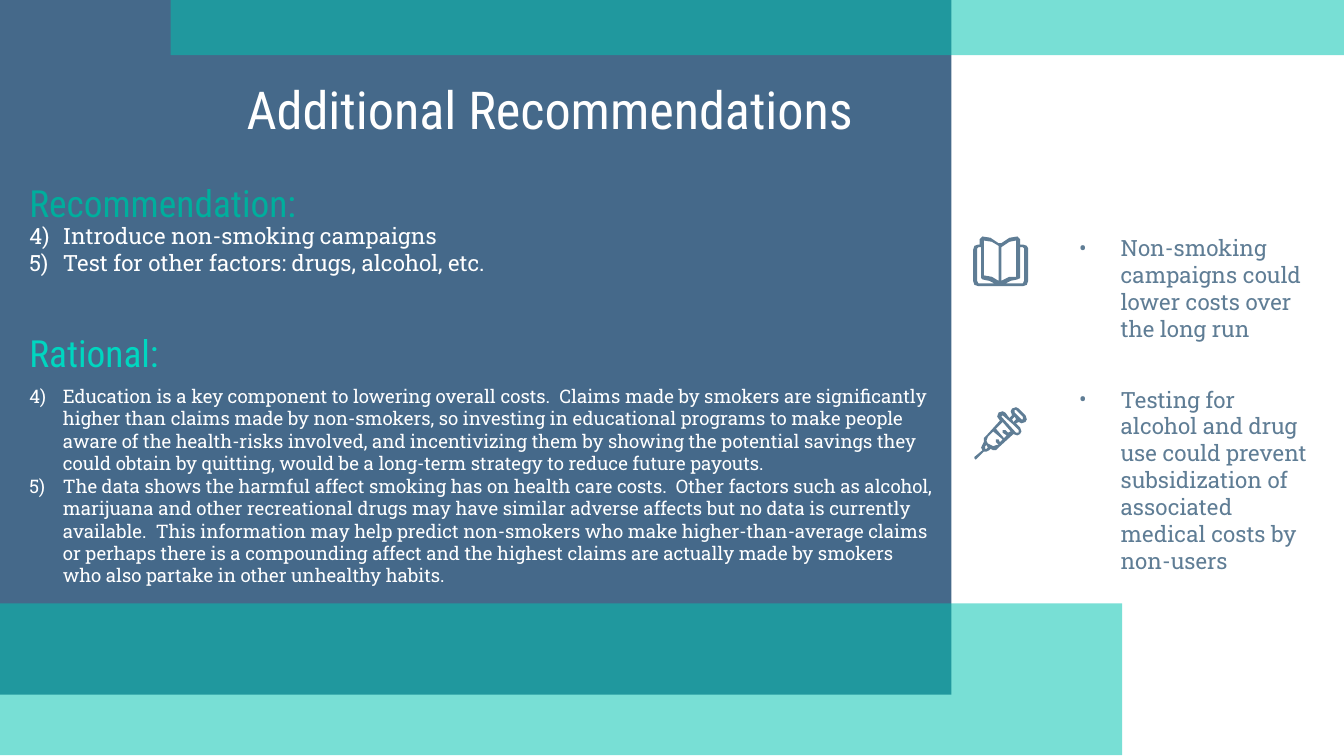
from lxml import etree
from pptx import Presentation
from pptx import util as u
from pptx.dml.color import RGBColor
from pptx.enum import shapes, text
from pptx.oxml.ns import qn

PX = 9144  # EMU in one px; 100 px to the inch
WHITE, NAVY, PANEL, TEAL, SLATE = "FFFFFF", "073763", "45698A", "00C3B1", "5F7D95"
HEAD, BODY = "Roboto Condensed", "Roboto Slab"
LINE = 20  # height of a 12 pt line

BOOK = [
    [(7, 0), (5, 2), (5, 6), (4, 6), (1, 7), (0, 10), (0, 33), (1, 36), (4, 37),
     (37, 37), (40, 36), (41, 33), (41, 9), (40, 7), (37, 6), (35, 6), (35, 2),
     (33, 0), (27, 1), (21, 5), (19, 5), (13, 1)],
    [(8, 3), (14, 4), (19, 7), (19, 33), (14, 30), (8, 29)],
    [(32, 3), (32, 30), (27, 30), (21, 33), (21, 8), (27, 4)],
    [(6, 8), (6, 31), (7, 32), (12, 33), (16, 35), (4, 35), (3, 33), (3, 9), (4, 8)],
    [(37, 8), (38, 9), (38, 33), (37, 35), (24, 35), (28, 33), (33, 32), (35, 31), (35, 8)],
]
SYRINGE = [
    [(31, 0), (28, 1), (27, 3), (28, 6), (26, 8), (23, 4), (21, 3), (18, 4), (17, 7),
     (19, 10), (9, 21), (7, 23), (7, 26), (6, 28), (5, 30), (6, 32), (0, 37), (0, 38),
     (1, 39), (2, 38), (7, 33), (9, 33), (11, 32), (12, 31), (14, 32), (16, 32),
     (18, 30), (29, 20), (32, 21), (34, 20), (35, 18), (34, 15), (31, 12), (33, 11),
     (35, 12), (38, 11), (39, 9), (38, 6), (33, 1)],
    [(30, 2), (31, 2), (36, 7), (36, 9), (35, 9), (34, 8), (30, 4)],
    [(30, 7), (31, 9), (29, 11), (28, 9)],
    [(21, 6), (29, 13), (33, 17), (33, 19), (31, 19), (20, 7)],
    [(21, 11), (27, 18), (25, 19), (23, 17), (21, 17), (21, 19), (24, 21), (22, 23), (16, 16)],
    [(14, 18), (21, 24), (19, 26), (18, 24), (16, 24), (16, 26), (18, 28), (17, 28),
     (14, 29), (12, 28), (10, 27), (9, 25), (10, 22)],
    [(9, 28), (10, 30), (9, 31), (8, 31), (8, 29)],
]


def px(n):
    return u.Emu(n * PX)


def color(hex_code):
    return RGBColor.from_string(hex_code)


def paint(shape, fill, alpha=100):
    shape.shadow.inherit = False
    shape.line.fill.background()
    shape.fill.solid()
    shape.fill.fore_color.rgb = color(fill)
    if alpha < 100:
        tint = shape._element.spPr.find(".//" + qn("a:srgbClr"))
        etree.SubElement(tint, qn("a:alpha"), val=str(alpha * 1000))


def add_band(slide, box, fill, alpha=100):
    band = slide.shapes.add_shape(shapes.MSO_SHAPE.RECTANGLE, *map(px, box))
    paint(band, fill, alpha)


def add_icon(slide, left, top, outlines):
    """Draw an outer outline with the following outlines cut out of it."""
    builder = slide.shapes.build_freeform(*outlines[0][0], scale=PX)
    builder.add_line_segments(outlines[0][1:], close=True)
    for hole in outlines[1:]:
        builder.move_to(*hole[0])
        builder.add_line_segments(hole[1:], close=True)
    paint(builder.convert_to_shape(px(left), px(top)), SLATE)


def style(paragraph, font, size, fill):
    paragraph.font.name = font
    paragraph.font.size = u.Pt(size)
    paragraph.font.color.rgb = color(fill)


def set_frame(frame, top=10, bottom=10):
    frame.word_wrap = True
    frame.auto_size = text.MSO_AUTO_SIZE.NONE
    frame.vertical_anchor = text.MSO_ANCHOR.MIDDLE
    frame.margin_left = frame.margin_right = px(10)
    frame.margin_top, frame.margin_bottom = px(top), px(bottom)


def set_title(slide, box, words):
    """Format the title and bring it in front of what is already drawn."""
    title = slide.shapes.title
    slide.shapes._spTree.append(title._element)
    title.left, title.top, title.width, title.height = map(px, box)
    set_frame(title.text_frame)
    title.text_frame.text = words
    heading = title.text_frame.paragraphs[0]
    heading.alignment = text.PP_ALIGN.CENTER
    style(heading, HEAD, 28, WHITE)


def add_heading(slide, box, words, fill):
    frame = slide.shapes.add_textbox(*map(px, box)).text_frame
    set_frame(frame, top=20, bottom=0)
    frame.text = words
    style(frame.paragraphs[0], HEAD, 20, fill)


def add_list(slide, box, items, size, fill, indent, marker, bottom=10):
    """Add a list; marker is a bullet character or the first number."""
    frame = slide.shapes.add_textbox(*map(px, box)).text_frame
    set_frame(frame, bottom=bottom)
    frame.text = "\n".join(items)
    for item in frame.paragraphs:
        props = item._p.get_or_add_pPr()
        props.set("marL", str(px(indent)))
        props.set("indent", str(-px(indent)))
        bullet_color = etree.SubElement(props, qn("a:buClr"))
        etree.SubElement(bullet_color, qn("a:srgbClr"), val=fill)
        etree.SubElement(props, qn("a:buFont"), typeface=BODY)
        if isinstance(marker, int):
            etree.SubElement(props, qn("a:buAutoNum"), type="arabicParenR", startAt=str(marker))
        else:
            etree.SubElement(props, qn("a:buChar"), char=marker)
        style(item, BODY, size, fill)


def add_backdrop(slide):
    add_band(slide, (0, 0, 708, 517), NAVY, 75)
    add_band(slide, (0, 449, 835, 113), TEAL, 53)
    add_band(slide, (127, 0, 873, 41), TEAL, 53)


def add_recommendations(slide, left, top, width):
    add_band(slide, (left + 64, top + 23, 583, 288), PANEL)
    add_list(slide, (left, top + 26, width, 82),
             ["Introduce non-smoking campaigns", "Test for other factors: drugs, alcohol, etc."],
             12, WHITE, 25, 4, bottom=10 + LINE)
    add_heading(slide, (left, top, 244, 26), "Recommendation:", "00AE9D")
    add_heading(slide, (left, top + 111, 169, 26), "Rational:", "00D6C0")
    add_list(slide, (left, top + 140, width, 187), [
        "Education is a key component to lowering overall costs.  Claims made by smokers are "
        "significantly higher than claims made by non-smokers, so investing in educational "
        "programs to make people aware of the health-risks involved, and incentivizing them by "
        "showing the potential savings they could obtain by quitting, would be a long-term "
        "strategy to reduce future payouts.",
        "The data shows the harmful affect smoking has on health care costs.  Other factors such "
        "as alcohol, marijuana and other recreational drugs may have similar adverse affects but "
        "no data is currently available.  This information may help predict non-smokers who make "
        "higher-than-average claims or perhaps there is a compounding affect and the highest "
        "claims are actually made by smokers who also partake in other unhealthy habits.",
    ], 10, WHITE, 25, 4)


def add_benefit(slide, box, icon, icon_at, words):
    left, top, width, height = box
    add_icon(slide, left + icon_at[0], top + icon_at[1], icon)
    add_list(slide, (left + 69, top, width - 69, height), [words],
             12, SLATE, 31, "•", bottom=10 + LINE)


def main():
    deck = Presentation()
    deck.slide_width, deck.slide_height = px(1000), px(1000) * 9 // 16
    slide = deck.slides.add_slide(deck.slide_layouts.get_by_name("Title Only"))
    add_backdrop(slide)
    set_title(slide, (113, 59, 592, 44), "Additional Recommendations")
    add_recommendations(slide, 12, 128, 693)
    add_benefit(slide, (724, 168, 264, 113), BOOK, (0, 8),
                "Non-smoking  campaigns could lower costs over the long run")
    add_benefit(slide, (724, 295, 264, 144), SYRINGE, (1, 8),
                "Testing for alcohol and drug use could prevent subsidization of "
                "associated medical costs by non-users")
    deck.save("out.pptx")


if __name__ == "__main__":
    main()
